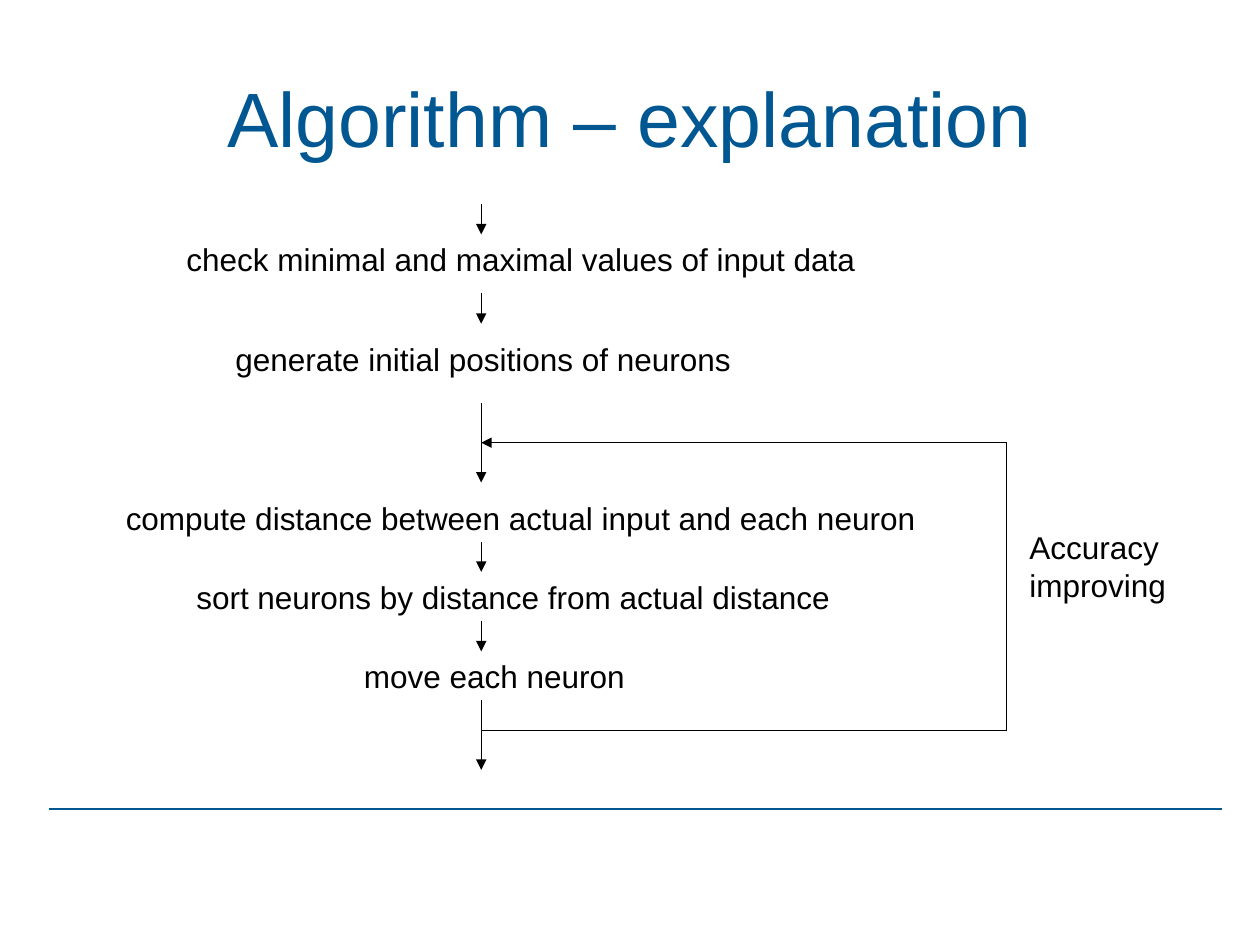
from lxml import etree
from pptx import Presentation
from pptx.dml.color import RGBColor
from pptx.enum import shapes, text
from pptx.oxml import ns
from pptx.util import Pt

BLUE = RGBColor(0x00, 0x57, 0x91)
BLACK = RGBColor(0x00, 0x00, 0x00)
FONT = "Arial"
MARGINS = {"margin_left": Pt(7.2), "margin_right": Pt(7.2),
           "margin_top": Pt(3.6), "margin_bottom": Pt(3.6)}
LABEL_FRAME = {**MARGINS, "word_wrap": False,
               "auto_size": text.MSO_AUTO_SIZE.SHAPE_TO_FIT_TEXT,
               "vertical_anchor": text.MSO_ANCHOR.TOP}
TITLE_FRAME = {**MARGINS, "word_wrap": True,
               "auto_size": text.MSO_AUTO_SIZE.NONE,
               "vertical_anchor": text.MSO_ANCHOR.MIDDLE}

STEPS = [
    (34.6, 17.3, 396.7, "check minimal and maximal values of input data"),
    (62.6, 74.2, 297.4, "generate initial positions of neurons"),
    (0, 164.9, 465.8, "compute distance between actual input and each neuron"),
    (40.3, 210.2, 376.6, "sort neurons by distance from actual distance"),
    (136.1, 255.6, 163.4, "move each neuron"),
]
ARROWS = [(0, 17.3), (51.1, 68.4), (113.8, 159.1),
          (193, 210.2), (238.3, 255.6), (283.7, 323.3)]


def set_all(obj, values):
    for name, value in values.items():
        setattr(obj, name, value)


def write(tf, lines, frame, size, color, align):
    set_all(tf, frame)
    for i, line in enumerate(lines):
        p = tf.paragraphs[0] if i == 0 else tf.add_paragraph()
        p.alignment = align
        r = p.add_run()
        r.text = line
        set_all(r.font, {"name": FONT, "size": Pt(size)})
        r.font.color.rgb = color


def add_label(s, x, y, w, h, *lines):
    sp = s.shapes.add_textbox(Pt(x), Pt(y), Pt(w), Pt(h))
    write(sp.text_frame, lines, LABEL_FRAME, 18, BLACK, text.PP_ALIGN.LEFT)


def add_line(s, x1, y1, x2, y2, color=BLACK, width=0.75, arrow=False):
    cxn = s.shapes.add_connector(shapes.MSO_CONNECTOR.STRAIGHT,
                                 Pt(x1), Pt(y1), Pt(x2), Pt(y2))
    cxn.line.color.rgb = color
    cxn.line.width = Pt(width)
    if arrow:
        etree.SubElement(cxn.line._get_or_add_ln(), ns.qn("a:tailEnd"), type="triangle")
    etree.SubElement(cxn._element.spPr, ns.qn("a:effectLst"))


def add_title(s, x, y, w, h):
    sp = s.shapes.title
    set_all(sp, {"left": Pt(x), "top": Pt(y), "width": Pt(w), "height": Pt(h)})
    write(sp.text_frame, ["Algorithm – explanation"], TITLE_FRAME, 44, BLUE,
          text.PP_ALIGN.CENTER)


def add_flow(s, x, y, axis):
    for dx, dy, w, label in STEPS:
        add_label(s, x + dx, y + dy, w, 28.8, label)
    for start, end in ARROWS:
        add_line(s, x + axis, y + start, x + axis, y + end, arrow=True)


def add_loop(s, x, y, w, h):
    right, bottom = x + w, y + h
    add_line(s, x, bottom, right, bottom)
    add_line(s, right, bottom, right, y)
    add_line(s, right, y, x, y, arrow=True)
    add_label(s, right + 5.8, y + 45.4, 92.2, 50.4, "Accuracy", "improving")


def main():
    prs = Presentation()
    set_all(prs, {"slide_width": Pt(720), "slide_height": Pt(540)})
    s = prs.slides.add_slide(prs.slide_layouts[5])
    add_line(s, 28, 462.2, 698.4, 462.2, color=BLUE, width=1)
    add_title(s, 36, 21.6, 648, 90)
    add_flow(s, 64.8, 116.6, 210.2)
    add_loop(s, 275, 253, 300.3, 164.6)
    prs.save("out.pptx")


if __name__ == "__main__":
    main()
